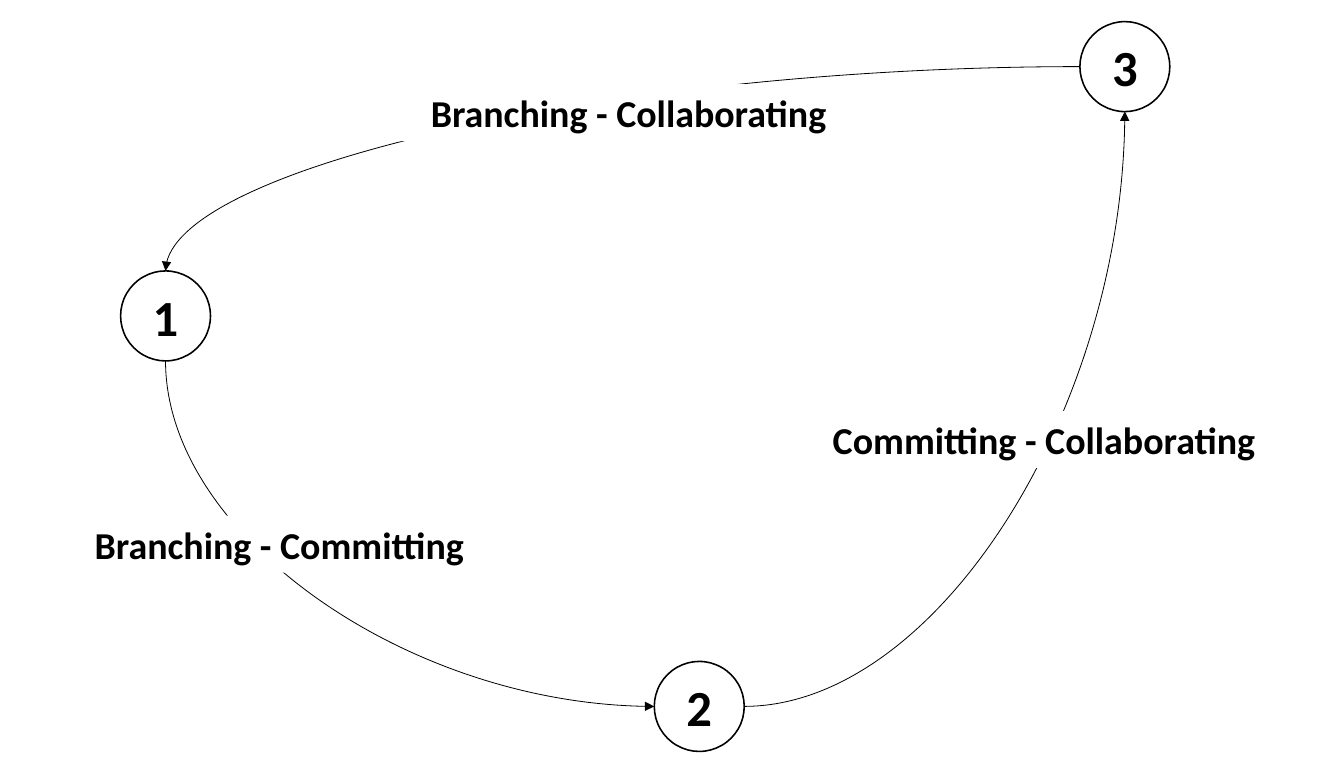
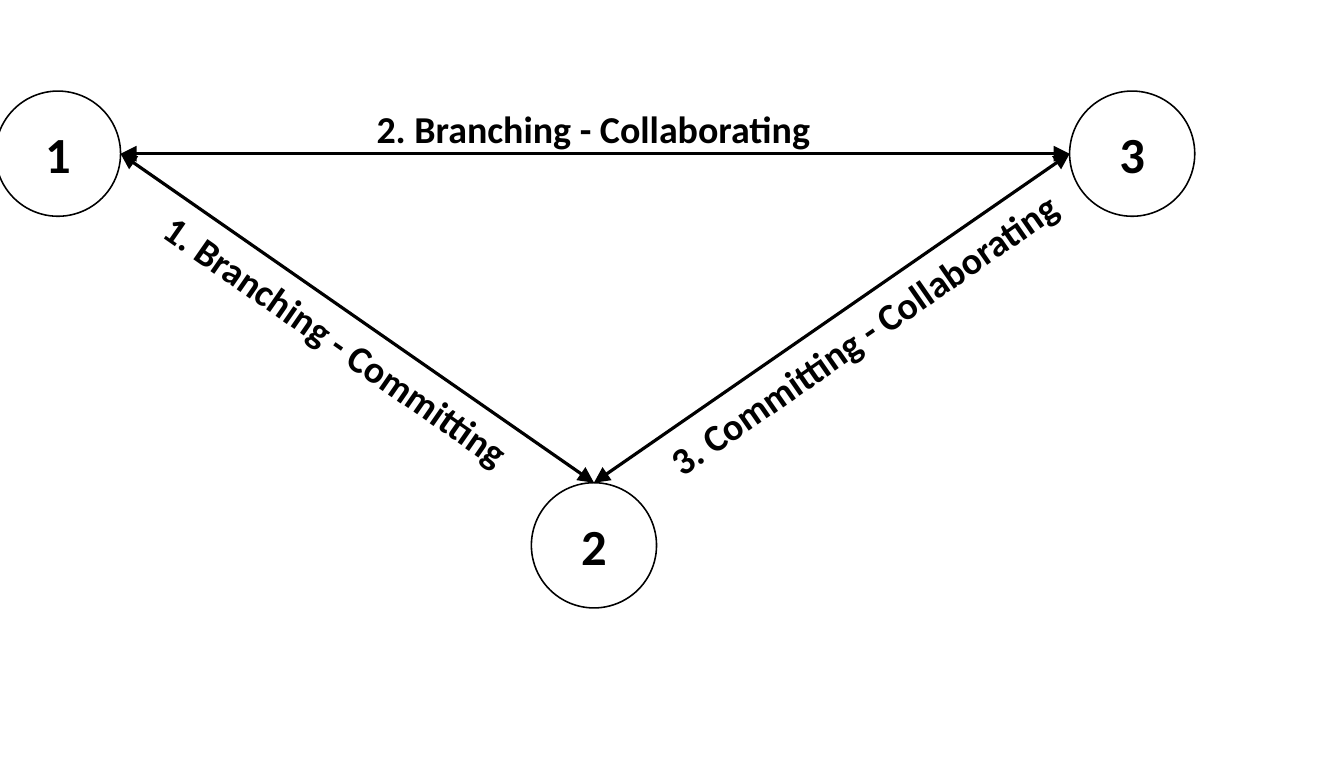
from lxml.etree import SubElement
from pptx import Presentation
from pptx.dml.color import RGBColor
from pptx.enum.shapes import MSO_CONNECTOR as LINK, MSO_SHAPE
from pptx.enum.text import MSO_ANCHOR, MSO_AUTO_SIZE, PP_ALIGN
from pptx.oxml.ns import qn
from pptx.util import Cm, Inches, Pt

INK, PAPER = "000000", "FFFFFF"
FONT = "Calibri"
BLANK_LAYOUT = 6
SITES = {"top": (0, 0.5, 0), "left": (2, 0, 0.5), "bottom": (4, 0.5, 1), "right": (6, 1, 0.5)}


def color(hex_code):
    """Turn a hex string into a colour."""
    return RGBColor.from_string(hex_code)


def write(shape, text, size):
    """Put centred bold text into a shape."""
    frame = shape.text_frame
    frame.text = text
    frame.word_wrap = True
    paragraph = frame.paragraphs[0]
    paragraph.alignment = PP_ALIGN.CENTER
    font = paragraph.runs[0].font
    font.name, font.size, font.bold = FONT, Pt(size), True
    font.color.rgb = color(INK)


def add_node(slide, number, left, top, diameter):
    """Draw a numbered circle."""
    node = slide.shapes.add_shape(
        MSO_SHAPE.OVAL, Inches(left), Inches(top), Inches(diameter), Inches(diameter))
    node.shadow.inherit = False
    node.fill.solid()
    node.fill.fore_color.rgb = color(PAPER)
    node.line.color.rgb = color(INK)
    node.line.width = Pt(1)
    node.text_frame.vertical_anchor = MSO_ANCHOR.MIDDLE
    write(node, number, 32)
    return node


def add_label(slide, text, left, top, width, rotation=0, fill=None):
    """Write a one-line label, turned or filled if asked."""
    label = slide.shapes.add_textbox(Inches(left), Inches(top), Inches(width), Inches(0.5))
    label.rotation = rotation
    if fill:
        label.fill.solid()
        label.fill.fore_color.rgb = color(fill)
    write(label, text, 24)
    label.text_frame.auto_size = MSO_AUTO_SIZE.SHAPE_TO_FIT_TEXT


def site_point(node, side):
    """Find where a side's connection site lies."""
    _, across, down = SITES[side]
    return int(node.left + across * node.width), int(node.top + down * node.height)


def link(slide, kind, start, end, width, arrows, arrow_size="med"):
    """Join two (node, side) sites with an arrow glued to both."""
    connector = slide.shapes.add_connector(kind, *site_point(*start), *site_point(*end))
    connector.line.color.rgb = color(INK)
    connector.line.width = Pt(width)
    properties = connector.element.spPr
    if kind == LINK.CURVE:
        properties.find(qn("a:prstGeom")).set("prst", "curvedConnector2")
    outline = properties.find(qn("a:ln"))
    for arrow in arrows:
        SubElement(outline, qn(f"a:{arrow}"), type="triangle", w=arrow_size, len=arrow_size)
    SubElement(properties, qn("a:effectLst"))
    glue = connector.element.find(f"{qn('p:nvCxnSpPr')}/{qn('p:cNvCxnSpPr')}")
    for tag, (node, side) in (("a:stCxn", start), ("a:endCxn", end)):
        SubElement(glue, qn(tag), id=str(node.shape_id), idx=str(SITES[side][0]))


def build_cycle(slide):
    """Draw the three stages as a cycle of curved arrows."""
    places = (("1", 1.06, 2.38), ("2", 5.75, 5.81), ("3", 9.49, 0.19))
    one, two, three = [add_node(slide, *place, 0.79) for place in places]
    for start, end, arrow in (
        ((two, "left"), (one, "bottom"), "headEnd"),
        ((two, "right"), (three, "bottom"), "tailEnd"),
        ((three, "left"), (one, "top"), "tailEnd"),
    ):
        link(slide, LINK.CURVE, start, end, 0.5, [arrow])
    for text, left, top, width in (
        ("Committing - Collaborating", 7.18, 3.61, 3.99),
        ("Branching - Collaborating", 3.26, 0.74, 4.53),
        ("Branching - Committing", 0.52, 4.53, 3.87),
    ):
        add_label(slide, text, left, top, width, fill=PAPER)


def build_triangle(slide):
    """Draw the three stages as a triangle of two-way arrows."""
    places = (("3", 9.4, 0.8), ("2", 4.67, 4.24), ("1", -0.04, 0.8))
    three, two, one = [add_node(slide, *place, 1.1) for place in places]
    for start, end in (
        ((three, "left"), (two, "top")),
        ((three, "left"), (one, "right")),
        ((one, "right"), (two, "top")),
    ):
        link(slide, LINK.STRAIGHT, start, end, 2, ["headEnd", "tailEnd"], "lg")
    slope = 34.8
    for text, left, top, width, rotation in (
        ("3. Committing - Collaborating", 4.66, 2.68, 5.85, 360 - slope),
        ("2. Branching - Collaborating", 2.95, 0.88, 4.53, 0),
        ("1. Branching - Committing", 1.02, 2.74, 3.87, slope),
    ):
        add_label(slide, text, left, top, width, rotation)


def main():
    """Build and save the two slides."""
    deck = Presentation()
    deck.slide_width, deck.slide_height = Cm(30), Cm(17)
    for build in (build_cycle, build_triangle):
        build(deck.slides.add_slide(deck.slide_layouts[BLANK_LAYOUT]))
    deck.save("out.pptx")


if __name__ == "__main__":
    main()
